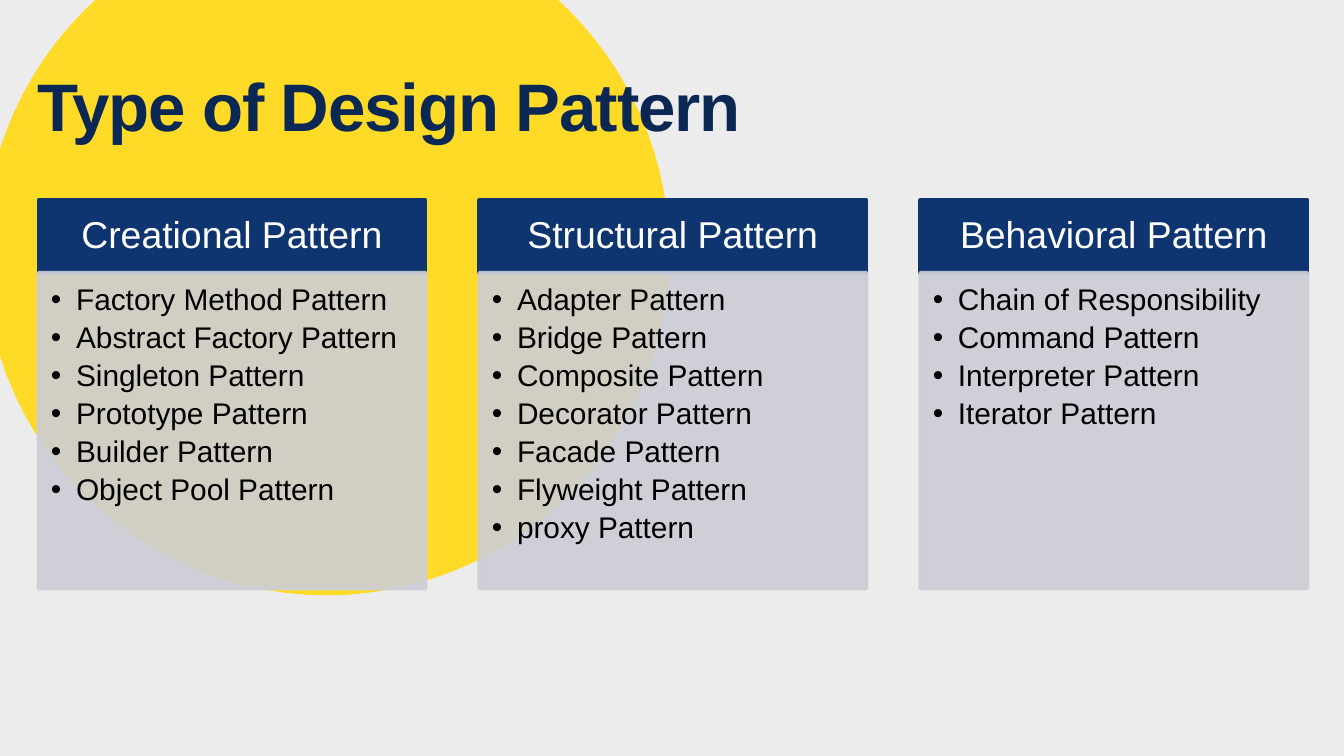
import math
import pptx
import pptx.util
import pptx.dml.color
import pptx.enum.shapes
import pptx.enum.text
import lxml.etree
import pptx.oxml.ns

Pt = pptx.util.Pt
RGB = pptx.dml.color.RGBColor
Align = pptx.enum.text.PP_ALIGN
Anchor = pptx.enum.text.MSO_ANCHOR
qn = pptx.oxml.ns.qn

GREY = RGB(0xEC, 0xEC, 0xEC)
YELLOW = RGB(0xFF, 0xDB, 0x28)
BLUE = RGB(0x0E, 0x35, 0x70)
NAVY = RGB(0x0B, 0x28, 0x54)
PALE = RGB(0xCC, 0xCE, 0xD5)
WHITE = RGB(0xFF, 0xFF, 0xFF)
BLACK = RGB(0, 0, 0)

LISTS = {
    "Creational Pattern": [
        "Factory Method Pattern", "Abstract Factory Pattern",
        "Singleton Pattern", "Prototype Pattern",
        "Builder Pattern", "Object Pool Pattern"],
    "Structural Pattern": [
        "Adapter Pattern", "Bridge Pattern", "Composite Pattern",
        "Decorator Pattern", "Facade Pattern", "Flyweight Pattern",
        "proxy Pattern"],
    "Behavioral Pattern": [
        "Chain of Responsibility", "Command Pattern",
        "Interpreter Pattern", "Iterator Pattern"],
}


def add_box(left, top, width, height, color, inset, anchor):
    box = slide.shapes.add_shape(
        pptx.enum.shapes.MSO_SHAPE.RECTANGLE,
        Pt(left), Pt(top), Pt(width), Pt(height))
    box.shadow.inherit = False
    box.fill.solid()
    box.fill.fore_color.rgb = color
    box.line.color.rgb = color
    box.line.width = Pt(2)
    set_frame(box.text_frame, inset, anchor)
    return box


def set_frame(frame, inset, anchor):
    frame.word_wrap = True
    frame.auto_size = pptx.enum.text.MSO_AUTO_SIZE.NONE
    frame.vertical_anchor = anchor
    (frame.margin_left, frame.margin_top,
     frame.margin_right, frame.margin_bottom) = map(Pt, inset)


deck = pptx.Presentation()
deck.slide_width, deck.slide_height = Pt(720), Pt(405)
slide = deck.slides.add_slide(deck.slide_layouts[5])
slide.background.fill.solid()
slide.background.fill.fore_color.rgb = GREY

# Yellow disc, cut off along the top edge
mid_x, mid_y, radius, edge = 175, 135.4, 183.6, -2
start = -math.asin((mid_y - edge) / radius)
sweep = math.pi - 2 * start
steps = 80
dots = []
for i in range(steps + 1):
    angle = start + sweep * i / steps
    dots.append((Pt(mid_x + radius * math.cos(angle)),
                 Pt(mid_y + radius * math.sin(angle))))
pen = slide.shapes.build_freeform(*dots[0])
pen.add_line_segments(dots[1:], close=True)
disc = pen.convert_to_shape()
disc.shadow.inherit = False
disc.fill.solid()
disc.fill.fore_color.rgb = YELLOW
disc.line.fill.background()

# Three columns: heading above a bulleted list
left, top, width, gap = 20.6, 107.3, 207.4, 28.8
head_high, list_high = 38.8, 169.2
for col, (name, items) in enumerate(LISTS.items()):
    x = left + col * (width + gap)
    head = add_box(x, top, width, head_high, BLUE,
                   (11.4, 6.5, 11.4, 6.5), Anchor.MIDDLE)
    para = head.text_frame.paragraphs[0]
    para.text = name
    para.alignment = Align.CENTER
    para.line_spacing = 0.9
    para.font.name, para.font.size = "Arial", Pt(20)
    para.font.color.rgb = WHITE

    body = add_box(x, top + head_high, width, list_high, PALE,
                   (6.7, 6.7, 8.6, 10), Anchor.TOP)
    for tint in body.element.spPr.iter(qn("a:srgbClr")):
        lxml.etree.SubElement(tint, qn("a:alpha"), val="90000")
    body.text_frame.text = "\n".join(items)
    for para in body.text_frame.paragraphs:
        para.alignment = Align.LEFT
        para.line_spacing = 0.9
        para.space_after = Pt(3.1)
        para.font.name, para.font.size = "Arial", Pt(16)
        para.font.color.rgb = BLACK
        props = para._p.get_or_add_pPr()
        props.set("marL", str(Pt(13.5)))
        props.set("indent", str(Pt(-13.5)))
        lxml.etree.SubElement(props, qn("a:buFont"), typeface="Arial")
        lxml.etree.SubElement(props, qn("a:buChar"), char="•")
        props.append(props.find(qn("a:defRPr")))

# Title, in front of the disc
title = slide.shapes.title
title.left, title.top = Pt(20), Pt(20)
title.width, title.height = Pt(414), Pt(75)
set_frame(title.text_frame, (0, 0, 0, 0), Anchor.MIDDLE)
para = title.text_frame.paragraphs[0]
para.text = "Type of Design Pattern"
para.alignment = Align.LEFT
para.line_spacing = 0.98
para.font.name, para.font.size, para.font.bold = "Arial", Pt(36), True
para.font.color.rgb = NAVY
para.runs[0].font._element.set("spc", "-60")
slide.shapes._spTree.append(title.element)

deck.save("out.pptx")
